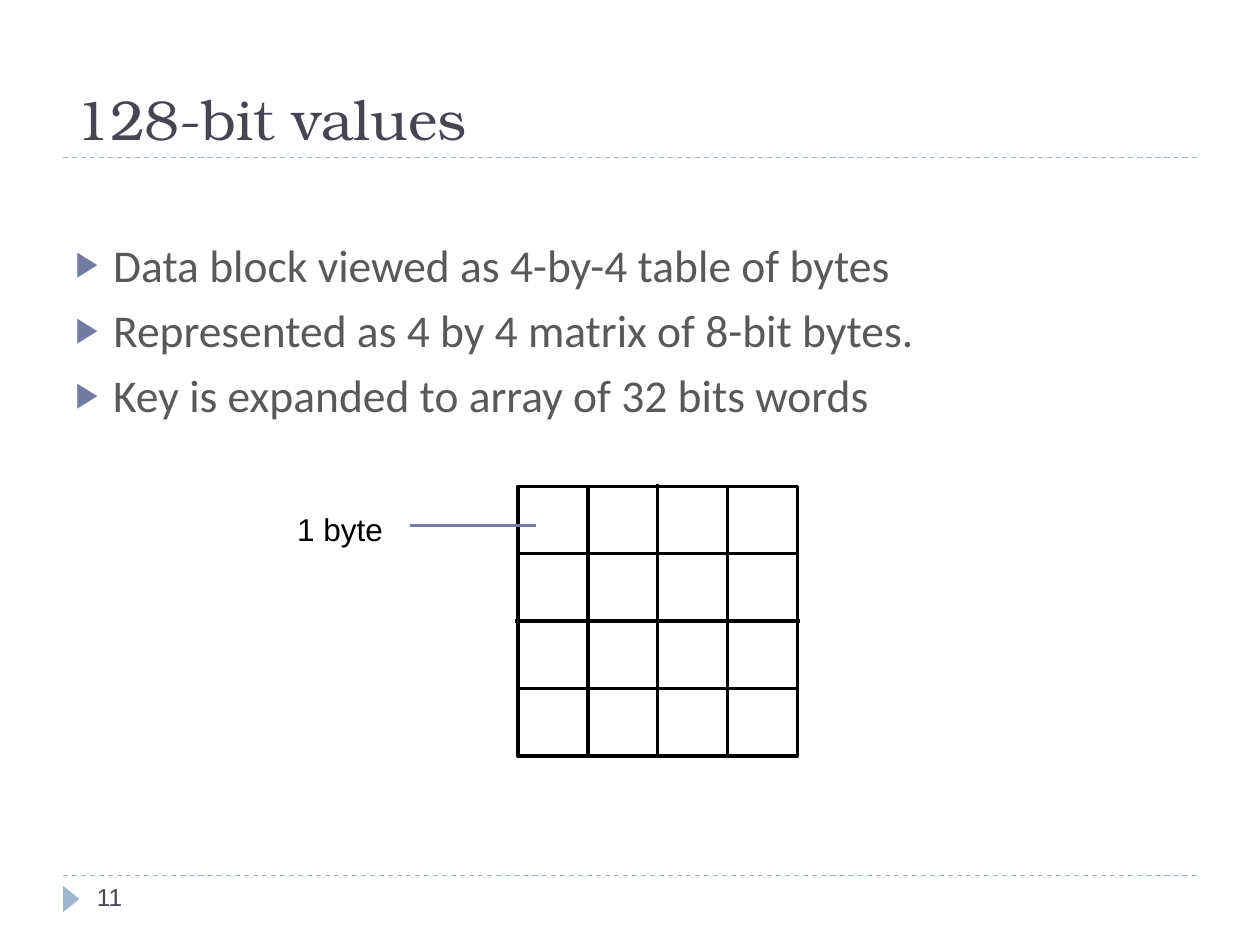
import pptx
import pptx.util
import pptx.dml.color
import pptx.enum.dml
import pptx.enum.shapes
import pptx.enum.text
import pptx.oxml
import pptx.oxml.ns
from pptx.util import Inches

TITLE = "128-bit values"
POINTS = [
    "Data block viewed as 4-by-4 table of bytes",
    "Represented as 4 by 4 matrix of 8-bit bytes.",
    "Key is expanded to array of 32 bits words",
]
BYTE_LABEL = "1 byte"
PAGE_NUMBER = "11"

THEME = {
    "title": {"font": "TeX Gyre Bonum", "size": 32, "color": "464653"},
    "body": {"font": "Calibri", "size": 26, "color": "595959"},
    "label": {"font": "Arial", "size": 18, "color": "000000"},
    "page": {"font": "Arial", "size": 14, "color": "464653"},
    "accent": "727CA3",
    "rule": "9FB8CD",
    "grid": "000000",
    "paper": "FFFFFF",
}

MARGIN, CONTENT_WIDTH = 0.5, 9
RULE_HEIGHTS = (6.95, 1.25)
GRID_LEFT, GRID_TOP, GRID_WIDTH, GRID_HEIGHT = 4.11, 3.86, 2.22, 2.14
OVERHANG = 0.02
BULLET_INDENT = 0.3


def rgb(code):
    return pptx.dml.color.RGBColor.from_string(code)


def add_bullet(paragraph):
    properties = paragraph._p.get_or_add_pPr()
    properties.set("marL", str(Inches(BULLET_INDENT)))
    properties.set("indent", str(-Inches(BULLET_INDENT)))
    namespace = pptx.oxml.ns.nsdecls("a")
    for element in (
        f'<a:buClr {namespace}><a:srgbClr val="{THEME["accent"]}"/></a:buClr>',
        f'<a:buSzPct {namespace} val="76000"/>',
        f'<a:buFont {namespace} typeface="Arial"/>',
        f'<a:buChar {namespace} char="▶"/>',
    ):
        properties.append(pptx.oxml.parse_xml(element))


def add_text(slide, lines, box, *, style, anchor="TOP", bullets=False,
             gap=0, wrap=True):
    frame = slide.shapes.add_textbox(*map(Inches, box)).text_frame
    frame.word_wrap = wrap
    frame.vertical_anchor = getattr(pptx.enum.text.MSO_ANCHOR, anchor)
    for index, line in enumerate(lines):
        paragraph = frame.add_paragraph() if index else frame.paragraphs[0]
        if index and gap:
            paragraph.space_before = pptx.util.Pt(gap)
        if bullets:
            add_bullet(paragraph)
        run = paragraph.add_run()
        run.text = line
        run.font.name = style["font"]
        run.font.size = pptx.util.Pt(style["size"])
        run.font.color.rgb = rgb(style["color"])


def add_line(slide, start, end, color, width, dashed=False):
    connector = slide.shapes.add_connector(
        pptx.enum.shapes.MSO_CONNECTOR.STRAIGHT, *map(Inches, start + end))
    connector.line.color.rgb = rgb(color)
    connector.line.width = pptx.util.Pt(width)
    if dashed:
        connector.line.dash_style = pptx.enum.dml.MSO_LINE.DASH
    connector._element.spPr.append(
        pptx.oxml.parse_xml(f'<a:effectLst {pptx.oxml.ns.nsdecls("a")}/>'))


def add_preset(slide, preset, box, fill=None, outline=None):
    shape = slide.shapes.add_shape(
        getattr(pptx.enum.shapes.MSO_SHAPE, preset), *map(Inches, box))
    shape.shadow.inherit = False
    if fill:
        shape.fill.solid()
        shape.fill.fore_color.rgb = rgb(fill)
    else:
        shape.fill.background()
    if outline:
        shape.line.color.rgb = rgb(outline)
        shape.line.width = pptx.util.Pt(2)
    else:
        shape.line.fill.background()
    return shape


def add_byte_grid(slide):
    """Draw four by four cells from nested rectangles and two centre lines."""
    left, top, width, height = GRID_LEFT, GRID_TOP, GRID_WIDTH, GRID_HEIGHT
    middle_x, middle_y = left + width / 2, top + height / 2
    ink, paper = THEME["grid"], THEME["paper"]
    add_preset(slide, "RECTANGLE", (left, top, width, height), paper, ink)
    add_preset(slide, "RECTANGLE",
               (left + width / 4, top, width / 2, height), paper, ink)
    add_line(slide, (middle_x, top - OVERHANG),
             (middle_x, top + height + OVERHANG), ink, 2)
    add_preset(slide, "RECTANGLE",
               (left, top + height / 4, width, height / 2), outline=ink)
    add_line(slide, (left - OVERHANG, middle_y),
             (left + width + OVERHANG, middle_y), ink, 2)


def main():
    deck = pptx.Presentation()
    deck.slide_width, deck.slide_height = Inches(10), Inches(7.5)
    slide = deck.slides.add_slide(deck.slide_layouts[6])

    for height in RULE_HEIGHTS:
        add_line(slide, (MARGIN, height), (MARGIN + CONTENT_WIDTH, height),
                 THEME["rule"], 0.75, dashed=True)
    page_marker = add_preset(slide, "ISOSCELES_TRIANGLE",
                             (0.46, 7.07, 0.21, 0.13), THEME["rule"])
    page_marker.rotation = 90

    add_text(slide, [TITLE], (MARGIN, 0.17, CONTENT_WIDTH, 1.08),
             style=THEME["title"], anchor="BOTTOM")
    add_text(slide, [PAGE_NUMBER], (0.67, 6.95, 2.17, 0.4),
             style=THEME["page"])
    add_text(slide, POINTS, (MARGIN, 1.83, CONTENT_WIDTH, 2.67),
             style=THEME["body"], bullets=True, gap=6)

    add_byte_grid(slide)
    add_text(slide, [BYTE_LABEL], (2.26, 4, 0.88, 0.4),
             style=THEME["label"], wrap=False)
    add_line(slide, (3.25, 4.17), (4.25, 4.17), THEME["accent"], 1.5)

    deck.save("out.pptx")


if __name__ == "__main__":
    main()
